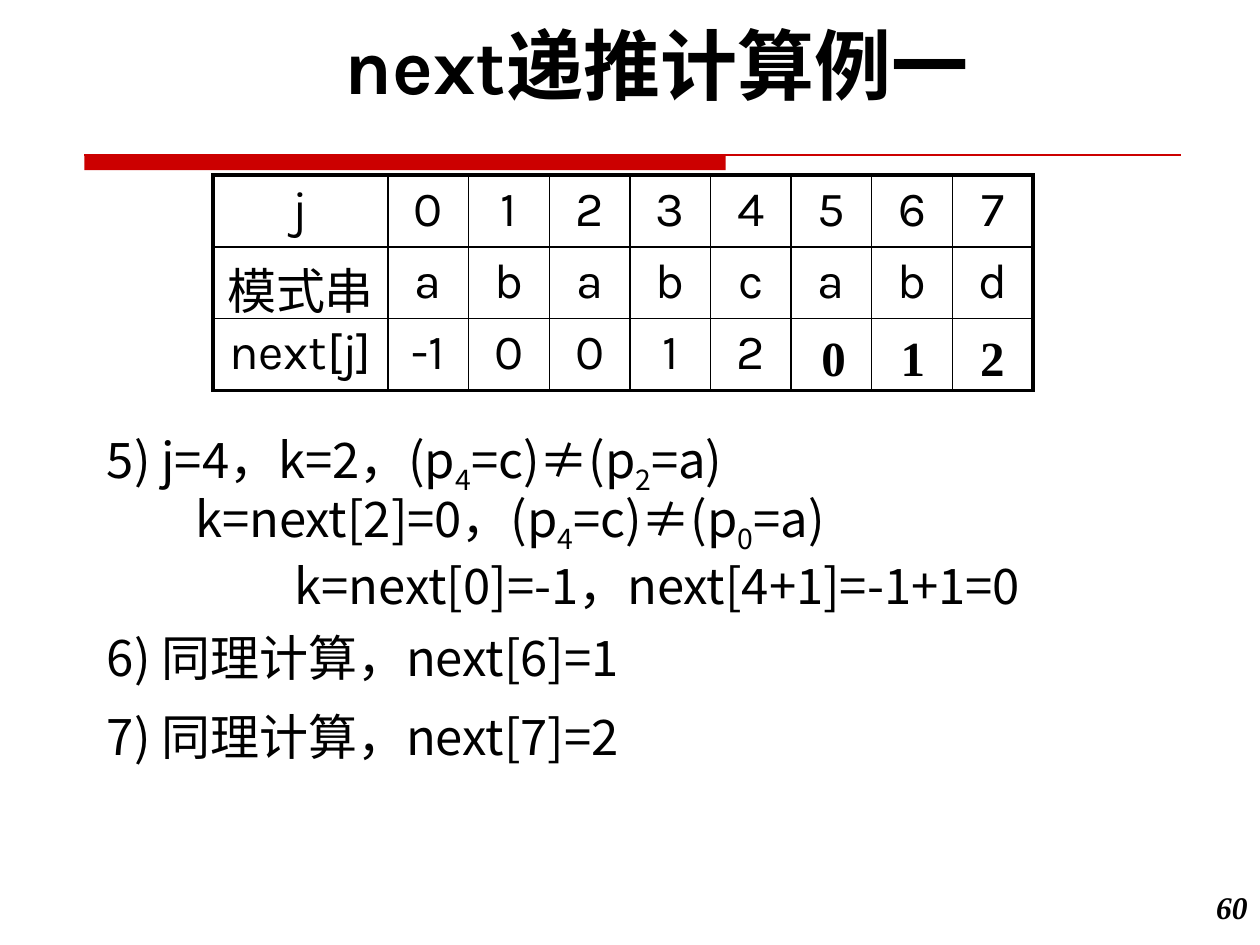
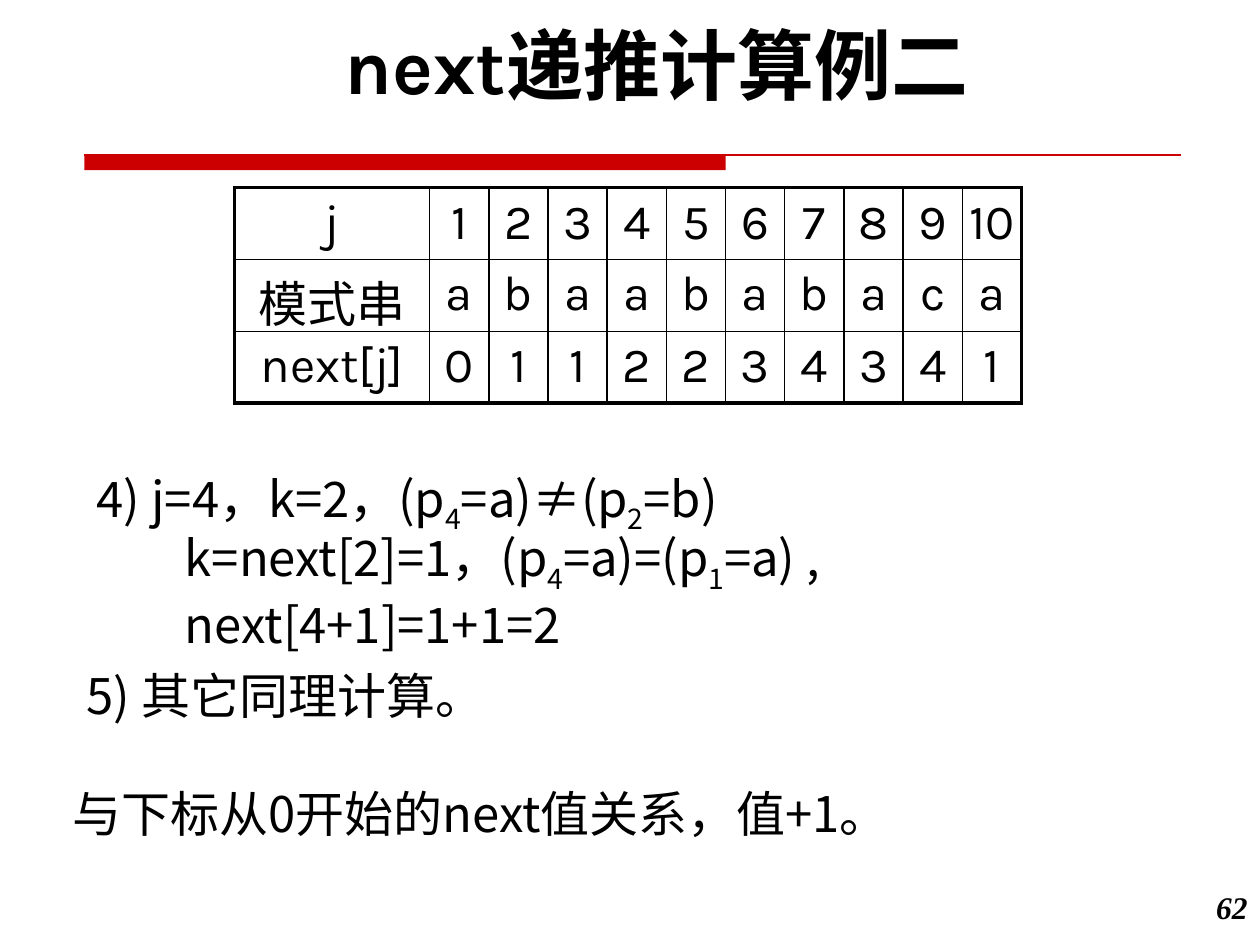
from lxml import etree
from pptx import Presentation
from pptx import util as u
from pptx.dml.color import RGBColor
from pptx.enum import shapes, text
from pptx.oxml import ns

BLACK, RED = "000000", "CC0000"
SANS, KARLA, TIMES = "Noto Sans CJK SC", "Karla", "Times New Roman"
LEFT, MID, RIGHT = text.PP_ALIGN.LEFT, text.PP_ALIGN.CENTER, text.PP_ALIGN.RIGHT
TOP, ROW, LINE = 1.23, 0.57, 0.57


def hue(code):
    return RGBColor.from_string(code)


def write(frame, lines, face=SANS, size=28, align=LEFT, bold=False, slant=False):
    frame.word_wrap = True
    for n, (dent, words) in enumerate(lines):
        para = frame.add_paragraph() if n else frame.paragraphs[0]
        para.alignment = align
        if dent:
            para._p.get_or_add_pPr().set("marL", str(u.Inches(dent)))
        parts = []
        for i, part in enumerate(words.split("_")):
            parts += [(part[0], True), (part[1:], False)] if i else [(part, False)]
        for part, sub in parts:
            run = para.add_run()
            run.text = part
            font = run.font
            font.name, font.size = face, u.Pt(size)
            font.bold, font.italic = bold, slant
            font.color.rgb = hue(BLACK)
            props = run._r.get_or_add_rPr()
            etree.SubElement(props, ns.qn("a:ea")).set("typeface", SANS)
            if sub:
                props.set("baseline", "-25000")


pages = [
    {
        "title": "next递推计算例一",
        "number": "60",
        "table": (1.69, 1.39, 1.39, 0.64, 0.1),
        "rows": [
            ["j", *"01234567"],
            ["模式串", *"ababcabd"],
            ["next[j]", "-1", *"0012", "", "", ""],
        ],
        "steps": [
            (0.75, 3.36, 8.03, [(0, "5) j=4，k=2，(p_4=c)≠(p_2=a)")]),
            (0.75, 3.83, 8.03, [
                (0.7, "k=next[2]=0，(p_4=c)≠(p_0=a)"),
                (1.49, "k=next[0]=-1，next[4+1]=-1+1=0"),
            ]),
            (0.75, 4.93, 8.03, [(0, "6) 同理计算，next[6]=1")]),
            (0.75, 5.56, 8.03, [(0, "7) 同理计算，next[7]=2")]),
        ],
        "found": "012",
    },
    {
        "title": "next递推计算例二",
        "number": "62",
        "table": (1.86, 1.49, 1.55, 0.47, 0),
        "rows": [
            ["j", *"123456789", "10"],
            ["模式串", *"abaababaca"],
            ["next[j]", *"0112234341"],
        ],
        "steps": [
            (0.67, 3.67, 8.03, [(0, "4) j=4，k=2，(p_4=a)≠(p_2=b)")]),
            (0.67, 4.14, 9.3, [
                (0.7, "k=next[2]=1，(p_4=a)=(p_1=a) ,"),
                (0.7, "next[4+1]=1+1=2"),
            ]),
            (0.59, 5.23, 9.22, [(0, "5) 其它同理计算。")]),
            (0.48, 6.17, 9.18, [(0, "与下标从0开始的next值关系，值+1。")]),
        ],
        "found": "",
    },
]

deck = Presentation()
deck.slide_width, deck.slide_height = u.Inches(10), u.Inches(7.5)

for page in pages:
    slide = deck.slides.add_slide(deck.slide_layouts[6])
    items = slide.shapes

    band = items.add_shape(shapes.MSO_SHAPE.RECTANGLE, u.Inches(0.67), u.Inches(TOP),
                           u.Inches(5.09), u.Inches(0.12))
    band.shadow.inherit = False
    band.fill.solid()
    band.fill.fore_color.rgb = hue(RED)
    band.line.fill.background()
    rule = items.add_connector(shapes.MSO_CONNECTOR.STRAIGHT, u.Inches(0.67), u.Inches(TOP),
                               u.Inches(9.37), u.Inches(TOP))
    rule.line.color.rgb = hue(RED)
    rule.line.width = u.Pt(0.75)
    etree.SubElement(rule._element.spPr, ns.qn("a:effectLst"))

    box = items.add_textbox(u.Inches(9.33), u.Inches(7), u.Inches(0.67), u.Inches(0.5))
    write(box.text_frame, [(0, page["number"])], TIMES, 18, RIGHT, True, True)

    left, top, head, step, pad = page["table"]
    rows = page["rows"]
    high, wide = len(rows), len(rows[0])
    grid = items.add_table(high, wide, u.Inches(left), u.Inches(top),
                           u.Inches(head + step * (wide - 1)), u.Inches(ROW * high)).table
    grid.first_row = grid.horz_banding = False
    for c in range(wide):
        grid.columns[c].width = u.Inches(step if c else head)
    for r, row in enumerate(rows):
        grid.rows[r].height = u.Inches(ROW)
        for c, word in enumerate(row):
            cell = grid.cell(r, c)
            cell.margin_left = cell.margin_right = u.Inches(pad)
            cell.fill.background()
            if word:
                write(cell.text_frame, [(0, word)], KARLA, align=MID)
            edges = {"L": c == 0, "R": c == wide - 1, "T": r == 0, "B": r == high - 1}
            for n, (side, outer) in enumerate(edges.items()):
                edge = etree.Element(ns.qn("a:ln" + side), w=str(u.Pt(2.25 if outer else 1)))
                fill = etree.SubElement(edge, ns.qn("a:solidFill"))
                etree.SubElement(fill, ns.qn("a:srgbClr")).set("val", BLACK)
                cell._tc.get_or_add_tcPr().insert(n, edge)

    for x, y, w, lines in page["steps"]:
        box = items.add_textbox(u.Inches(x), u.Inches(y), u.Inches(w),
                                u.Inches(LINE * len(lines)))
        write(box.text_frame, lines)

    for n, digit in enumerate(page["found"]):
        box = items.add_textbox(u.Inches(6.42 + 0.63 * n), u.Inches(2.55),
                                u.Inches(0.63), u.Inches(LINE))
        write(box.text_frame, [(0, digit)], TIMES, bold=True)

    box = items.add_textbox(u.Inches(0.67), u.Inches(0.17), u.Inches(9.08), u.Inches(0.83))
    write(box.text_frame, [(0, page["title"])], KARLA, 44, MID, True)
    box.text_frame.paragraphs[0].line_spacing = 0.9

deck.save("out.pptx")
